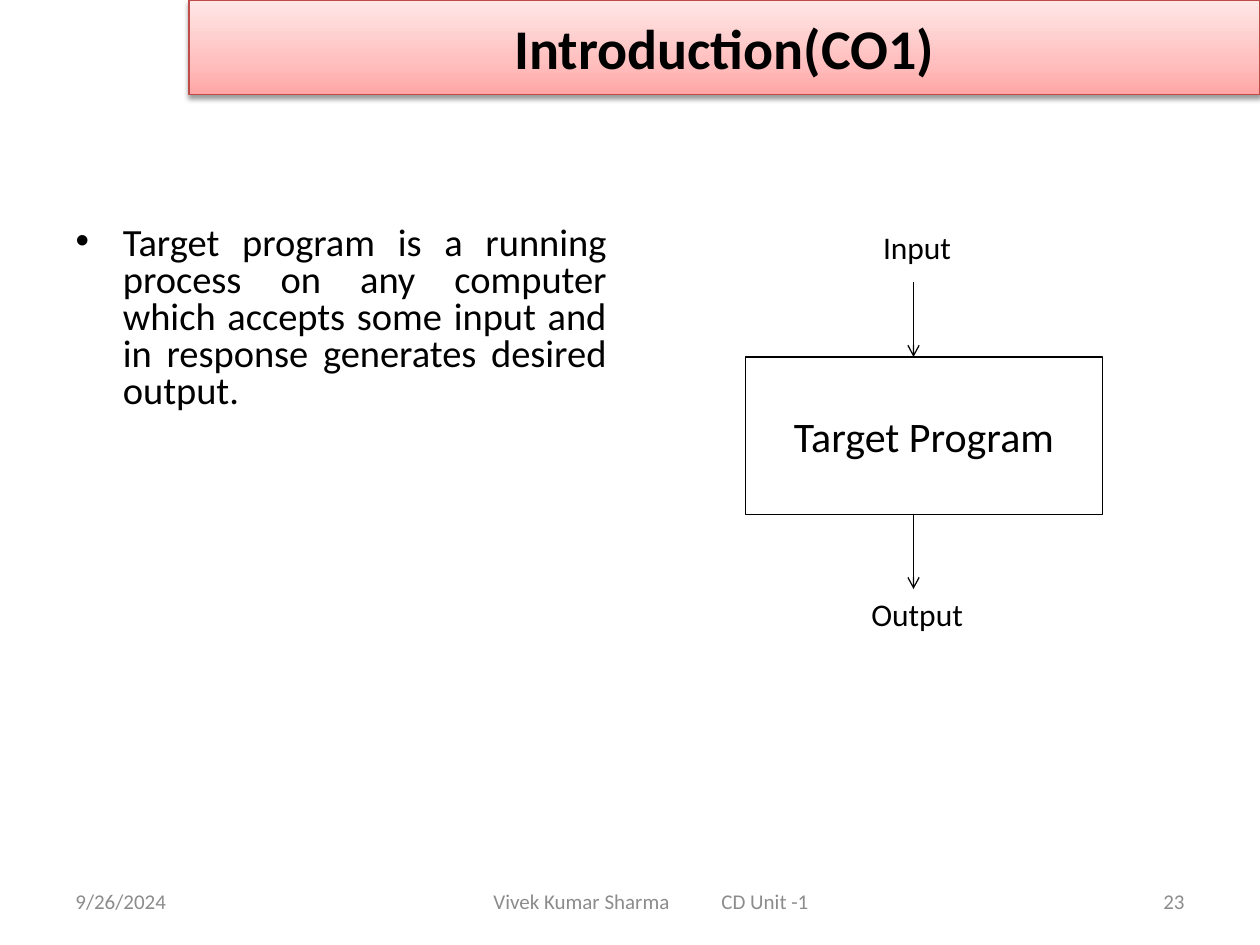
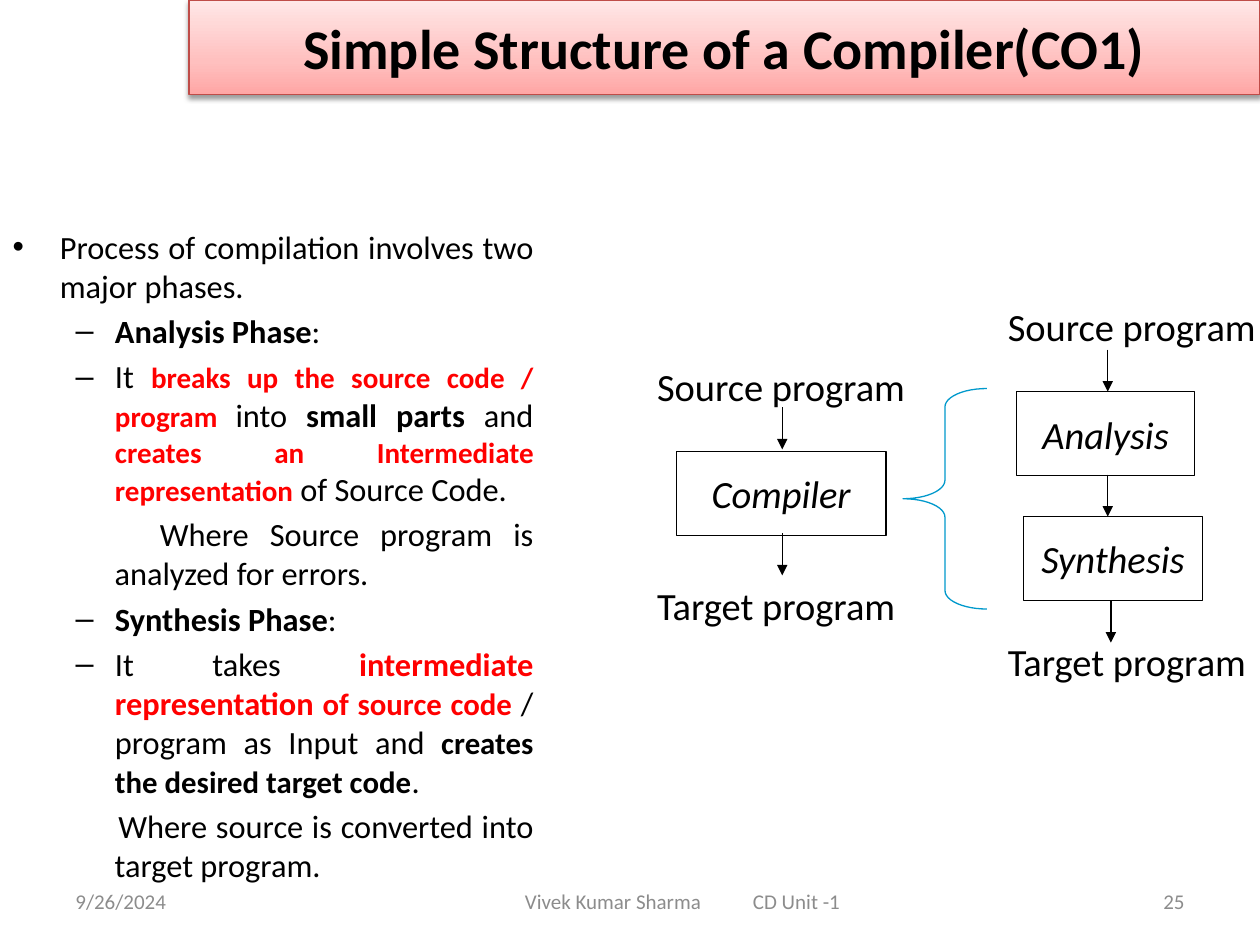
from lxml import etree
from pptx import Presentation
from pptx.dml.color import RGBColor
from pptx.enum.shapes import MSO_CONNECTOR, MSO_SHAPE
from pptx.enum.text import MSO_ANCHOR, MSO_AUTO_SIZE, PP_ALIGN
from pptx.oxml import parse_xml
from pptx.oxml.ns import nsdecls, qn
from pptx.util import Inches, Pt

LEFT, CENTER, RIGHT, JUSTIFY = PP_ALIGN.LEFT, PP_ALIGN.CENTER, PP_ALIGN.RIGHT, PP_ALIGN.JUSTIFY
TOP, MIDDLE = MSO_ANCHOR.TOP, MSO_ANCHOR.MIDDLE
RECTANGLE, BRACE = MSO_SHAPE.RECTANGLE, MSO_SHAPE.LEFT_BRACE
STRAIGHT, FIXED = MSO_CONNECTOR.STRAIGHT, MSO_AUTO_SIZE.NONE

FONT = "Calibri"
BLACK, RED, GRAY, BLUE, BAND_EDGE = "000000", "FF0000", "8C8C8C", "0099CC", "BF4C48"
BAND_STOPS = [(0, "FFA6A5"), (35, "FFC0BF"), (100, "FFE7E7")]
CELL = Inches(10) / 120
FOOTER_ROW, FOOTER_ROWS, FOOTER_TEXT = 83.4, 4.8, 30

PAGES = [
    {
        "title": "Introduction(CO1)",
        "number": "23",
        "footer_columns": 42,
        "body": (6, 21, 53, 59.4),
        "spacing": 0.8,
        "list": [
            (0, None, [("Target program is a running process on any computer which accepts "
                        "some input and in response generates desired output.", 22, BLACK, False)]),
        ],
        "boxes": [("Target Program", (71, 34, 34, 15))],
        "box_style": (24, False),
        "labels": [("Input", 69, 21.1), ("Output", 69, 56.1)],
        "label_style": (18, CENTER, 36.7),
        "arrows": [(87, 26.9), (87, 49)],
        "arrow_style": (7.1, "arrow"),
        "braces": [],
    },
    {
        "title": "Simple Structure of a Compiler(CO1)",
        "number": "25",
        "footer_columns": 48,
        "body": (0, 21, 52, 59.4),
        "spacing": 1.0,
        "list": [
            (0, None, [("Process of compilation involves two major phases.", 18.5, BLACK, False)]),
            (1, None, [("Analysis Phase", 18.5, BLACK, True), (":", 18.5, BLACK, False)]),
            (1, None, [("It ", 18.5, BLACK, False),
                       ("breaks up the source code / program ", 16.6, RED, True),
                       ("into ", 18.5, BLACK, False),
                       ("small parts ", 18.5, BLACK, True),
                       ("and ", 18.5, BLACK, False),
                       ("creates an Intermediate representation", 16.6, RED, True),
                       (" of Source Code.", 18.5, BLACK, False)]),
            (1, 0.36, [("Where Source program is analyzed for errors.", 18.5, BLACK, False)]),
            (1, None, [("Synthesis Phase", 18.5, BLACK, True), (":", 18.5, BLACK, False)]),
            (1, None, [("It takes ", 18.5, BLACK, False),
                       ("intermediate representation ", 18.5, RED, True),
                       ("of source code ", 17.6, RED, True),
                       ("/ program as Input and ", 18.5, BLACK, False),
                       ("creates the desired target code", 17.6, BLACK, True),
                       (".", 18.5, BLACK, False)]),
            (1, 0.03, [("Where source is converted into target program.", 18.5, BLACK, False)]),
        ],
        "boxes": [("Compiler", (64.4, 43, 20, 8)),
                  ("Analysis", (96.8, 37.3, 17, 8)),
                  ("Synthesis", (97.5, 49.2, 17, 8))],
        "box_style": (22, True),
        "labels": [("Source program", 61.4, 34), ("Target program", 61.4, 54.8),
                   ("Source program", 94.8, 28.3), ("Target program", 94.8, 60.2)],
        "label_style": (22, LEFT, 26.2),
        "arrows": [(74.5, 38.8), (74.5, 50.8), (105.5, 33.3), (105.5, 45.2), (105.8, 57.2)],
        "arrow_style": (4, "triangle"),
        "braces": [(86, 37, 8, 21)],
    },
]


def paint(color, value):
    color.rgb = RGBColor.from_string(value)


def write(shape, text, size, align, anchor=MIDDLE, color=BLACK, bold=False, italic=False):
    frame = shape.text_frame
    frame.text = text
    frame.word_wrap = align != LEFT
    frame.vertical_anchor = anchor
    frame.paragraphs[0].alignment = align
    for span in frame.paragraphs[0].runs:
        span.font.name, span.font.size = FONT, Pt(size)
        span.font.bold, span.font.italic = bold, italic
        paint(span.font.color, color)
    return frame


deck = Presentation()
deck.slide_width, deck.slide_height = Inches(10), Inches(7.5)

for content in PAGES:
    page = deck.slides.add_slide(deck.slide_layouts[1])

    band = page.shapes.title
    band.left, band.top, band.width, band.height = [int(n * CELL) for n in (18, 0, 102, 9)]
    write(band, content["title"], 32, CENTER, bold=True).auto_size = FIXED
    stops = "".join(f'<a:gs pos="{place * 1000}"><a:srgbClr val="{value}"/></a:gs>'
                    for place, value in BAND_STOPS)
    properties = band._element.spPr
    properties.append(parse_xml(f'<a:gradFill {nsdecls("a")} rotWithShape="1"><a:gsLst>{stops}</a:gsLst>'
                                '<a:lin ang="16200000" scaled="0"/></a:gradFill>'))
    paint(band.line.color, BAND_EDGE)
    band.line.width = Pt(0.75)
    properties.append(parse_xml(
        f'<a:effectLst {nsdecls("a")}><a:outerShdw blurRad="{Pt(3.1)}" dist="{Pt(1.6)}" dir="5400000" '
        'rotWithShape="0"><a:srgbClr val="000000"><a:alpha val="38000"/></a:srgbClr>'
        '</a:outerShdw></a:effectLst>'))

    body = page.placeholders[1]
    body.left, body.top, body.width, body.height = [int(n * CELL) for n in content["body"]]
    frame = body.text_frame
    frame.auto_size = FIXED
    for index, (level, first_indent, spans) in enumerate(content["list"]):
        para = frame.add_paragraph() if index else frame.paragraphs[0]
        para.level, para.alignment = level, JUSTIFY
        para.line_spacing = content["spacing"]
        if index == 0:
            para.space_before = Pt(0)
        if first_indent is not None:
            settings = para._p.get_or_add_pPr()
            settings.set("marL", str(Inches(0.81)))
            settings.set("indent", str(Inches(first_indent)))
            etree.SubElement(settings, qn("a:buNone"))
        for text, size, color, bold in spans:
            span = para.add_run()
            span.text = text
            span.font.name, span.font.size, span.font.bold = FONT, Pt(size), bold
            paint(span.font.color, color)

    footer_columns = content["footer_columns"]
    for text, column, columns, align in [
        ("9/26/2024", 6, 28, LEFT),
        ("Vivek Kumar Sharma\tCD Unit -1", 41, footer_columns, LEFT),
        (content["number"], 86, 28, RIGHT),
    ]:
        footer = page.shapes.add_textbox(*[int(n * CELL) for n in (column, FOOTER_ROW, columns, FOOTER_ROWS)])
        frame = write(footer, text, 12, align, color=GRAY)
        frame.word_wrap = True
        if "\t" in text:
            frame.margin_left = int((columns - FOOTER_TEXT) / 2 * CELL)
            tabs = etree.SubElement(frame.paragraphs[0]._p.get_or_add_pPr(), qn("a:tabLst"))
            etree.SubElement(tabs, qn("a:tab"), pos=str(Inches(1.81)), algn="l")

    size, italic = content["box_style"]
    for text, area in content["boxes"]:
        box = page.shapes.add_shape(RECTANGLE, *[int(n * CELL) for n in area])
        box.shadow.inherit = False
        box.fill.background()
        paint(box.line.color, BLACK)
        box.line.width = Pt(0.75)
        write(box, text, size, CENTER, italic=italic)

    size, align, columns = content["label_style"]
    for text, column, row in content["labels"]:
        label = page.shapes.add_textbox(*[int(n * CELL) for n in (column, row, columns, 5)])
        write(label, text, size, align, anchor=TOP)

    rows, head = content["arrow_style"]
    for column, row in content["arrows"]:
        arrow = page.shapes.add_connector(STRAIGHT, *[int(n * CELL) for n in (column, row, column, row + rows)])
        paint(arrow.line.color, BLACK)
        arrow.line.width = Pt(0.75)
        properties = arrow._element.spPr
        etree.SubElement(properties.find(qn("a:ln")), qn("a:tailEnd"), type=head)
        etree.SubElement(properties, qn("a:effectLst"))

    for area in content["braces"]:
        brace = page.shapes.add_shape(BRACE, *[int(n * CELL) for n in area])
        brace.shadow.inherit = False
        brace.fill.background()
        brace.adjustments[0] = 0.22
        paint(brace.line.color, BLUE)
        brace.line.width = Pt(0.75)

deck.save("out.pptx")
